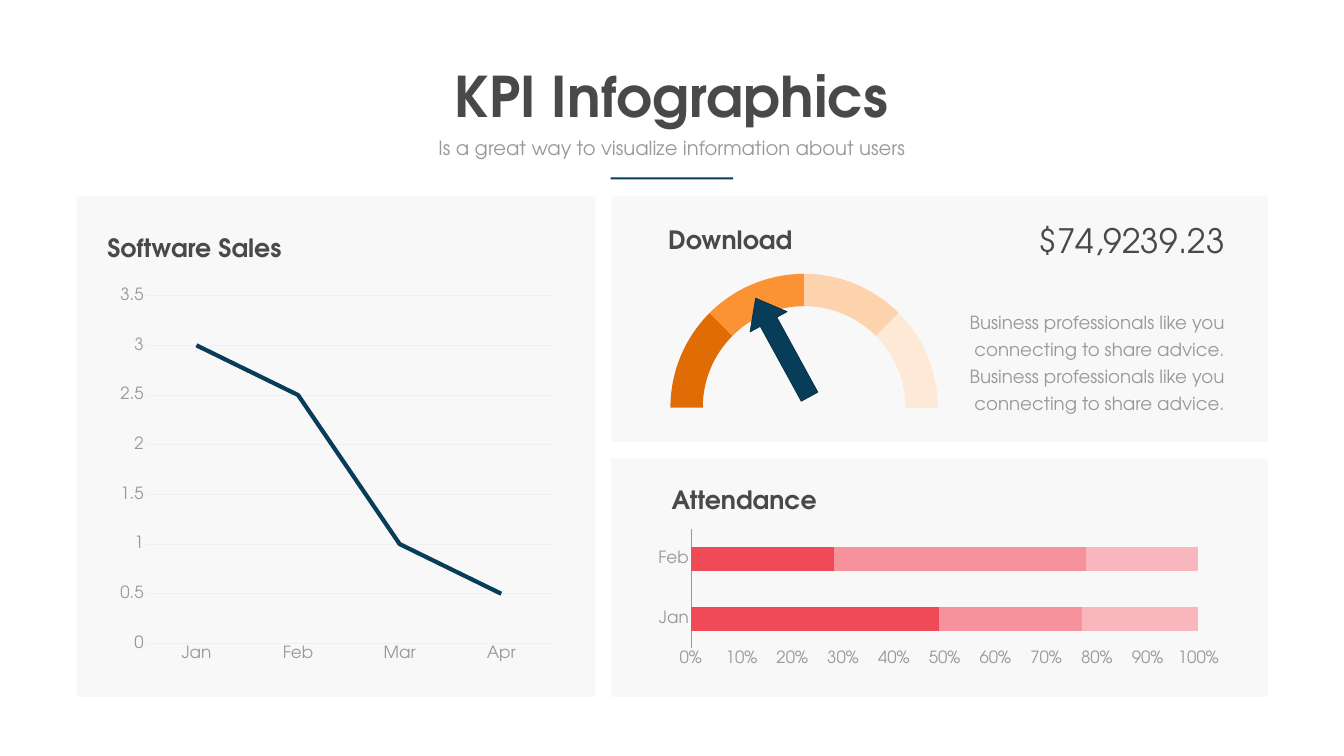
"""Build the KPI infographics slide with a line chart, a gauge and stacked bars."""
from math import cos, radians, sin

from lxml import etree
from pptx import Presentation
from pptx.chart.data import CategoryChartData
from pptx.dml.color import RGBColor
from pptx.enum.chart import XL_CHART_TYPE, XL_TICK_MARK
from pptx.enum.shapes import MSO_SHAPE
from pptx.enum.text import PP_ALIGN
from pptx.oxml.ns import qn
from pptx.util import Cm, Pt

LINE_STACKED = XL_CHART_TYPE.LINE_STACKED
BAR_STACKED_100 = XL_CHART_TYPE.BAR_STACKED_100
NO_TICK = XL_TICK_MARK.NONE
RECT, ARROW = MSO_SHAPE.RECTANGLE, MSO_SHAPE.UP_ARROW
LEFT, CENTER, RIGHT = PP_ALIGN.LEFT, PP_ALIGN.CENTER, PP_ALIGN.RIGHT

FONT = "TeX Gyre Adventor"
DARK = RGBColor(0x49, 0x49, 0x49)
GRAY = RGBColor(0x99, 0x99, 0x99)
GRID = RGBColor(0xF0, 0xF0, 0xF0)
PANEL = RGBColor(0xF2, 0xF2, 0xF2)
NAVY = RGBColor(0x07, 0x3D, 0x59)
NAVY_EDGE = RGBColor(0x05, 0x2D, 0x42)
REDS = [RGBColor(0xF0, 0x49, 0x58), RGBColor(0xF6, 0x92, 0x9B), RGBColor(0xF9, 0xB6, 0xBC)]
ORANGES = [RGBColor(0xDF, 0x6C, 0x04), RGBColor(0xFB, 0x92, 0x34),
           RGBColor(0xFD, 0xD3, 0xAE), RGBColor(0xFE, 0xE9, 0xD6)]

PANELS = [(30.81, 9.86, 33.1, 12.4), (30.81, 23.11, 33.1, 12.01), (3.86, 9.87, 26.14, 25.25)]
RULE = (30.78, 8.94, 6.17, 0.1)
ADVICE = "Business professionals like you connecting to share advice."
HEADING = dict(size=36, color=DARK, bold=True)
TEXTS = [
    (["KPI Infographics"], (22.53, 2.97, 22.63, 3.68),
     dict(size=80, color=DARK, bold=True, align=CENTER, wrap=False)),
    (["Is a great way to visualize information about users"], (21.72, 6.73, 24.28, 1.45),
     dict(size=28, align=CENTER)),
    (["Software Sales"], (5.16, 11.59, 14.22, 1.8), HEADING),
    (["Download"], (33.43, 11.18, 14.22, 1.8), HEADING),
    (["Attendance"], (33.6, 24.29, 14.22, 1.8), HEADING),
    (["$74,9239.23"], (50.8, 11.63, 11.18, 1.68),
     dict(size=48, color=DARK, align=RIGHT, spacing=38.6)),
    ([ADVICE, ADVICE], (46.18, 15.32, 15.8, 5.66), dict(size=26, align=RIGHT, spacing=38.6)),
]

SALES_BOX = (5.15, 14.22, 25.48, 19.99)
SALES_MONTHS = ["Jan", "Feb", "Mar", "Apr"]
SALES = [("Series 1", [3, 2.5, 1, 0.5])]
SALES_PLOT = dict(x=0.086, y=0.034, w=0.804, h=0.877)
ATTENDANCE_BOX = (32.59, 26.53, 29.43, 7.19)
ATTENDANCE_MONTHS = ["Jan", "Feb"]
ATTENDANCE = [("Series 1", [49, 28]), ("Series 2", [28, 49]), ("Series 3", [23, 22])]

GAUGE_CENTER = (40.53, 20.54)
GAUGE_OUTER, GAUGE_INNER = 6.74, 5.11
NEEDLE = (38.38, 14.68, 2.13, 5.66)
NEEDLE_TURN = 331.3
DEGREE = 60000


def lengths(box):
    return [Cm(v) for v in box]


def add_text(slide, lines, box, size=28, color=GRAY, bold=False, align=LEFT,
             spacing=None, wrap=True):
    tf = slide.shapes.add_textbox(*lengths(box)).text_frame
    tf.word_wrap = wrap
    for i, line in enumerate(lines):
        p = tf.add_paragraph() if i else tf.paragraphs[0]
        p.alignment = align
        if spacing:
            p.line_spacing = Pt(spacing)
        r = p.add_run()
        r.text = line
        r.font.name, r.font.size, r.font.bold = FONT, Pt(size), bold
        r.font.color.rgb = color


def paint(sp, color, alpha=None):
    sp.shadow.inherit = False
    sp.fill.solid()
    sp.fill.fore_color.rgb = color
    sp.line.fill.background()
    if alpha:
        srgb = sp.fill._xPr.find(".//" + qn("a:srgbClr"))
        etree.SubElement(srgb, qn("a:alpha")).set("val", str(alpha * 1000))


def add_box(slide, box, color, shape=RECT, alpha=None):
    sp = slide.shapes.add_shape(shape, *lengths(box))
    paint(sp, color, alpha)
    return sp


def gauge_point(radius, angle):
    x, y = GAUGE_CENTER
    return Cm(x + radius * cos(radians(angle))), Cm(y - radius * sin(radians(angle)))


def bend(segment, radius, start, sweep):
    arc = etree.Element(qn("a:arcTo"))
    for name, value in (("wR", Cm(radius)), ("hR", Cm(radius)),
                        ("stAng", start * DEGREE), ("swAng", sweep * DEGREE)):
        arc.set(name, str(int(value)))
    segment.getparent().replace(segment, arc)


def add_gauge(slide):
    sweep = 180 // len(ORANGES)
    for i, color in enumerate(ORANGES):
        start = 180 - i * sweep
        end = start - sweep
        corners = [gauge_point(GAUGE_OUTER, start), gauge_point(GAUGE_OUTER, end),
                   gauge_point(GAUGE_INNER, end), gauge_point(GAUGE_INNER, start)]
        builder = slide.shapes.build_freeform(*corners[0])
        builder.add_line_segments(corners[1:], close=True)
        sp = builder.convert_to_shape()
        outer, _, inner = sp._element.findall(".//" + qn("a:lnTo"))[:3]
        bend(outer, GAUGE_OUTER, 360 - start, sweep)
        bend(inner, GAUGE_INNER, (360 - end) % 360, -sweep)
        paint(sp, color)
    needle = add_box(slide, NEEDLE, NAVY, ARROW)
    needle.adjustments[0], needle.adjustments[1] = 0.447, 0.638
    needle.rotation = NEEDLE_TURN
    needle.line.color.rgb = NAVY_EDGE
    needle.line.width = Pt(1)


def add_chart(slide, kind, box, categories, series, axis_color, unit, top, number_format):
    data = CategoryChartData()
    data.categories = categories
    for name, values in series:
        data.add_series(name, values)
    chart = slide.shapes.add_chart(kind, *lengths(box), data).chart
    chart.has_legend = chart.has_title = False
    chart.font.name, chart.font.size = FONT, Pt(24)
    chart.font.color.rgb = GRAY
    for axis in (chart.category_axis, chart.value_axis):
        axis.major_tick_mark = axis.minor_tick_mark = NO_TICK
    line = chart.category_axis.format.line
    line.color.rgb, line.width = axis_color, Pt(0.75)
    axis = chart.value_axis
    axis.format.line.fill.background()
    axis.has_major_gridlines = False
    axis.minimum_scale, axis.maximum_scale, axis.major_unit = 0, top, unit
    axis.tick_labels.number_format = number_format
    axis.tick_labels.number_format_is_linked = False
    return chart


def add_sales(slide):
    chart = add_chart(slide, LINE_STACKED, SALES_BOX, SALES_MONTHS, SALES, GRID, 0.5, 3.5,
                      "General")
    grid = chart.value_axis.major_gridlines.format.line
    grid.color.rgb, grid.width = GRID, Pt(0.75)
    s = chart.plots[0].series[0]
    s.smooth = False
    s.format.line.color.rgb, s.format.line.width = NAVY, Pt(6)
    area = chart._chartSpace.find(".//" + qn("c:plotArea"))
    for old in area.findall(qn("c:layout")):
        area.remove(old)
    layout = etree.Element(qn("c:layout"))
    area.insert(0, layout)
    manual = etree.SubElement(layout, qn("c:manualLayout"))
    settings = dict(layoutTarget="inner", xMode="edge", yMode="edge", **SALES_PLOT)
    for tag, value in settings.items():
        etree.SubElement(manual, qn("c:" + tag)).set("val", str(value))


def add_attendance(slide):
    chart = add_chart(slide, BAR_STACKED_100, ATTENDANCE_BOX, ATTENDANCE_MONTHS, ATTENDANCE,
                      GRAY, 0.1, 1, "0%")
    plot = chart.plots[0]
    plot.gap_width, plot.overlap, plot.vary_by_categories = 150, 100, False
    for s, color in zip(plot.series, REDS):
        s.format.fill.solid()
        s.format.fill.fore_color.rgb = color


def main():
    prs = Presentation()
    prs.slide_width, prs.slide_height = Cm(67.74), Cm(38.1)
    slide = prs.slides.add_slide(prs.slide_layouts[6])
    for box in PANELS:
        add_box(slide, box, PANEL, alpha=50)
    add_sales(slide)
    add_box(slide, RULE, NAVY)
    add_attendance(slide)
    for lines, box, style in TEXTS:
        add_text(slide, lines, box, **style)
    add_gauge(slide)
    prs.save("out.pptx")


if __name__ == "__main__":
    main()
